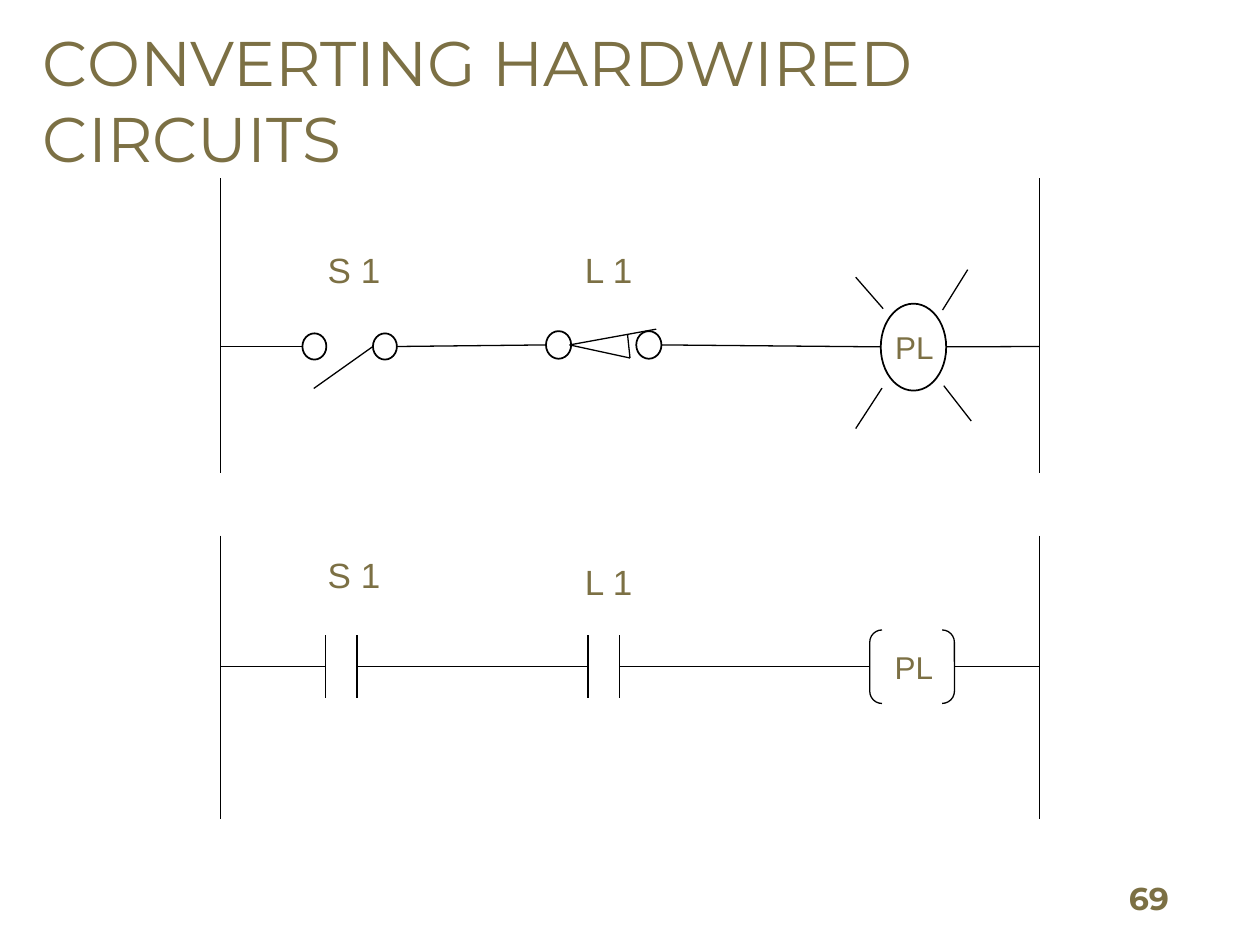
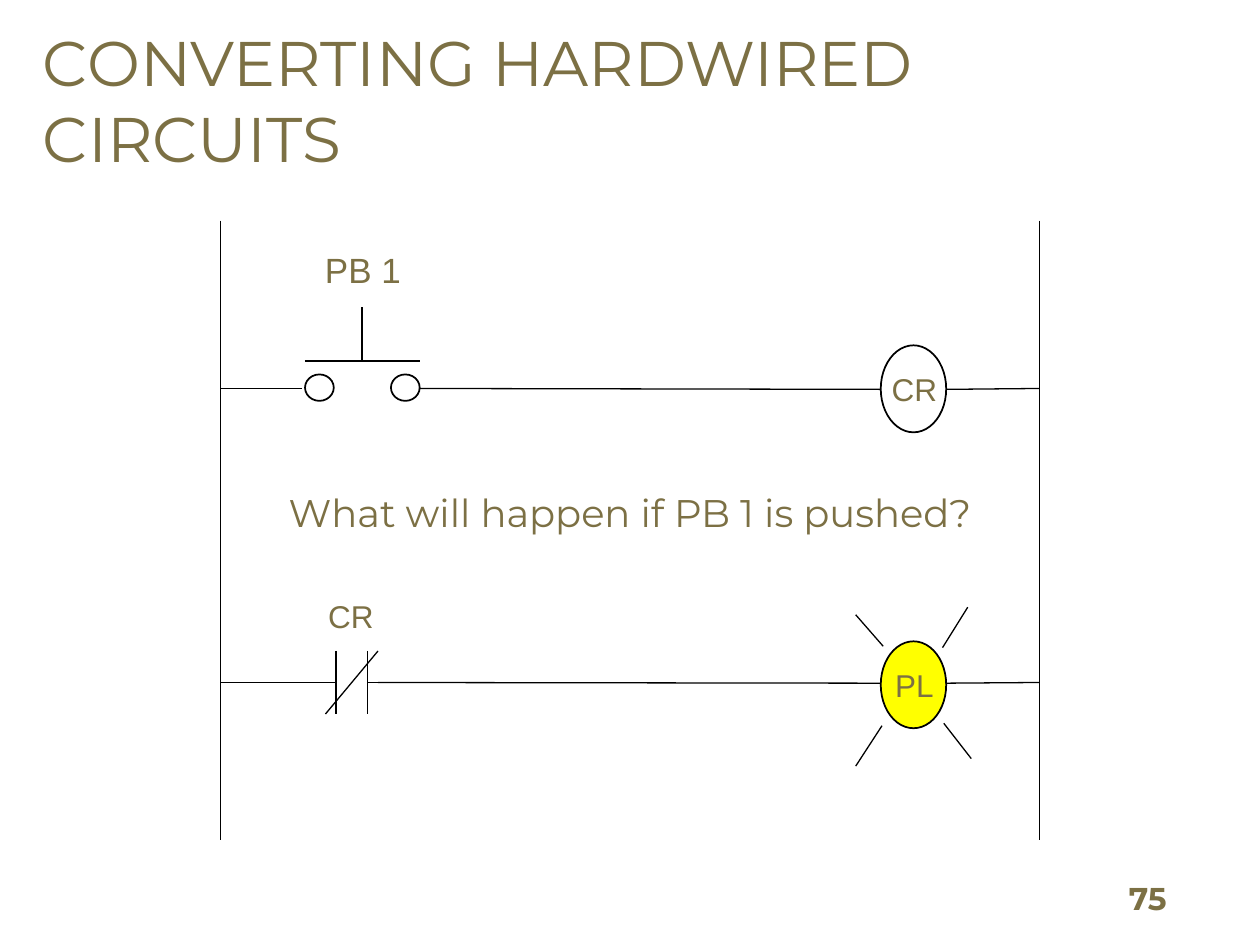
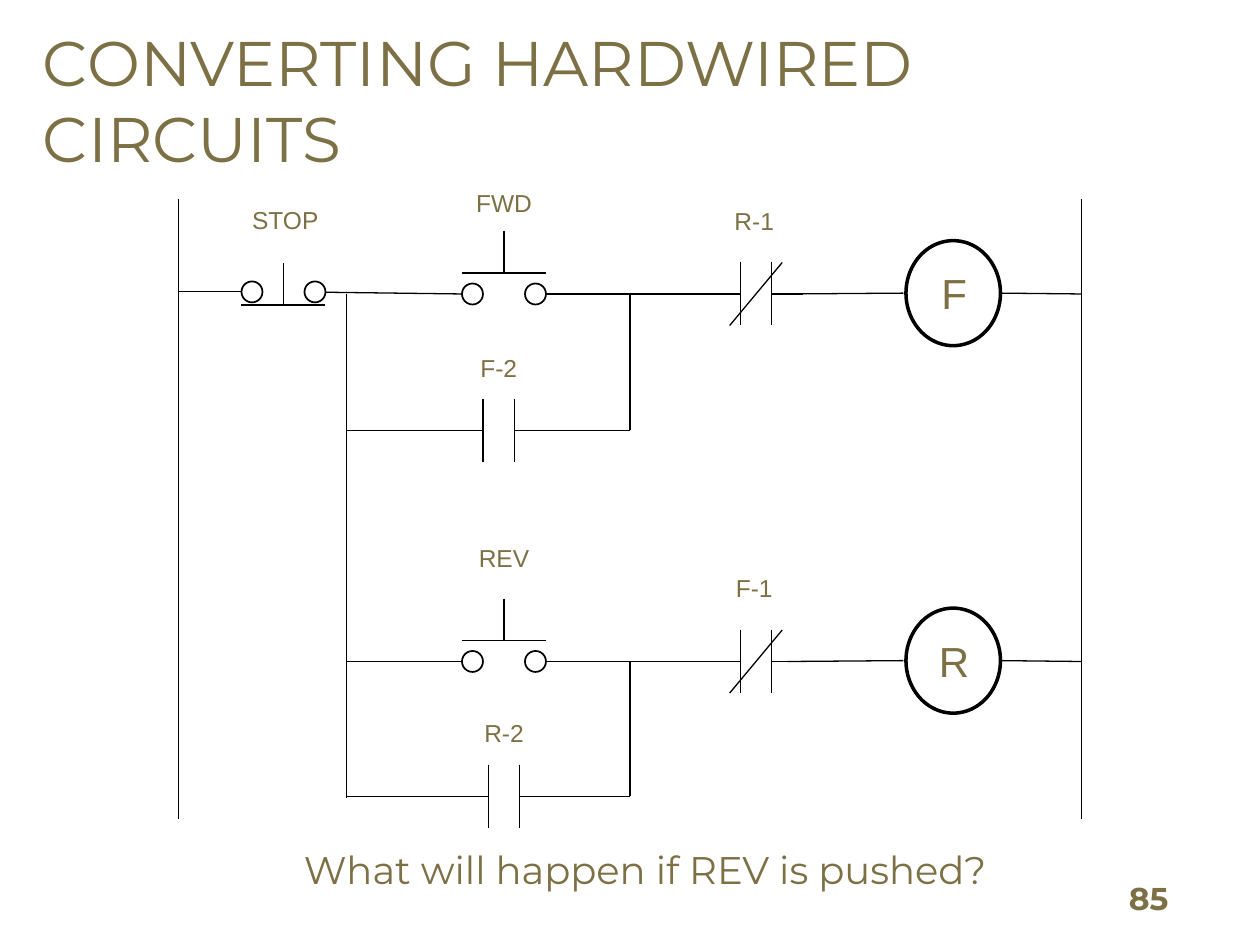
from lxml import etree
from pptx import Presentation
from pptx.dml.color import RGBColor
from pptx.enum import shapes, text
from pptx.oxml import ns
from pptx.util import Pt

GOLD, BLACK, YELLOW = "7C7044", "000000", "FFFF00"
HEAD_FONT, LABEL_FONT = "Montserrat", "Arial"
TITLE = "CONVERTING HARDWIRED CIRCUITS"
RAYS = [(17.3, 22, 33, 42.2), (-33, -40, -17.3, -22),
        (16.6, -21.2, 31, -44.3), (-33, 46.5, -18, 23.4)]


def rgb(value):
    """Turn a hex string into a colour."""
    return RGBColor.from_string(value)


def write(sh, x, y, w, h, words, size, font=LABEL_FONT, bold=False,
          align=text.PP_ALIGN.CENTER, anchor=text.MSO_ANCHOR.TOP, inset=(7.2, 3.6)):
    """Add a wrapped text box with one run."""
    tf = sh.add_textbox(Pt(x), Pt(y), Pt(w), Pt(h)).text_frame
    tf.word_wrap = True
    tf.vertical_anchor = anchor
    tf.margin_left = tf.margin_right = Pt(inset[0])
    tf.margin_top = tf.margin_bottom = Pt(inset[1])
    p = tf.paragraphs[0]
    p.alignment = align
    r = p.add_run()
    r.text = words
    r.font.name, r.font.size, r.font.bold = font, Pt(size), bold
    r.font.color.rgb = rgb(GOLD)


def label(sh, cx, cy, words, size, w=72):
    """Write a label centred on a point."""
    h = size * 1.2 + 7.2
    write(sh, cx - w / 2, cy - h / 2, w, h, words, size)


def line(sh, x1, y1, x2, y2, weight=0.75):
    """Draw a straight line without a shadow."""
    c = sh.add_connector(shapes.MSO_CONNECTOR.STRAIGHT, Pt(x1), Pt(y1), Pt(x2), Pt(y2))
    c.line.color.rgb = rgb(BLACK)
    c.line.width = Pt(weight)
    etree.SubElement(c._element.spPr, ns.qn("a:effectLst"))
    return c


def lines(sh, x, y, segments):
    """Draw several lines relative to a point."""
    for x1, y1, x2, y2 in segments:
        line(sh, x + x1, y + y1, x + x2, y + y2)


def outline(sh, kind, cx, cy, w, h, weight=1.0, fill=None):
    """Add an outlined shape centred on a point."""
    sp = sh.add_shape(kind, Pt(cx - w / 2), Pt(cy - h / 2), Pt(w), Pt(h))
    sp.shadow.inherit = False
    if fill:
        sp.fill.solid()
        sp.fill.fore_color.rgb = rgb(fill)
    else:
        sp.fill.background()
    sp.line.color.rgb = rgb(BLACK)
    sp.line.width = Pt(weight)
    return sp


def terminals(sh, x, y, span, w, h):
    """Draw the two open terminals of a switch that starts at x."""
    for cx in (x + w / 2, x + span - w / 2):
        outline(sh, shapes.MSO_SHAPE.OVAL, cx, y, w, h)


def toggle(s, x, y):
    """Draw an open toggle switch."""
    sh = s.shapes.add_group_shape().shapes
    terminals(sh, x, y, 54, 13.7, 15)
    line(sh, x + 6.5, y + 24, x + 40.3, y)


def limit_switch(s, x, y):
    """Draw a limit switch held closed."""
    sh = s.shapes.add_group_shape().shapes
    terminals(sh, x, y, 66, 14.4, 15.8)
    lines(sh, x, y, [(13.5, 0, 63, -9), (13.5, 0, 48, 7.5), (48, 7.5, 46.6, -6)])


def button(s, x, y, span=48, w=12, h=12, bar=-12, stem=24, weight=1.0):
    """Draw a push button whose bar lies at an offset from the wire."""
    sh = s.shapes.add_group_shape().shapes
    terminals(sh, x, y, span, w, h)
    line(sh, x, y + bar, x + span, y + bar, weight)
    line(sh, x + span / 2, y + bar - stem, x + span / 2, y + bar, weight)


def contact(s, x, y, closed=False):
    """Draw a ladder contact with its leads."""
    sh = s.shapes.add_group_shape().shapes
    lines(sh, x, y, [(0, -18, 0, 18), (18, -18, 18, 18), (18, 0, 36, 0), (-18, 0, 0, 0)])
    if closed:
        line(sh, x - 6, y + 18, x + 24, y - 18)


def coil(s, cx, cy, words, w=37.4, h=49.7, size=18, weight=1.0, fill=None, lit=False):
    """Draw a round coil or lamp with its name."""
    sh = s.shapes.add_group_shape().shapes
    outline(sh, shapes.MSO_SHAPE.OVAL, cx, cy, w, h, weight, fill)
    if lit:
        lines(sh, cx, cy, RAYS)
    label(sh, cx + 0.5, cy, words, size, 48)


def bracket_coil(s, cx, cy, words):
    """Draw a ladder output coil with joined leads."""
    sh = s.shapes.add_group_shape().shapes
    sp = outline(sh, shapes.MSO_SHAPE.DOUBLE_BRACKET, cx, cy, 48.4, 42, 0.75)
    line(sh, cx - 40, cy, cx - 24.2, cy).end_connect(sp, 1)
    line(sh, cx + 24.2, cy, cx + 40, cy).begin_connect(sp, 3)
    label(sh, cx + 1, cy, words, 18, 48)


def rails(s, x, y, w, h):
    """Draw the two supply rails of a circuit."""
    lines(s.shapes, x, y, [(0, 0, 0, h), (w, 0, w, h)])


def new_slide(prs, number):
    """Add a slide with the shared title and page number."""
    s = prs.slides.add_slide(prs.slide_layouts[6])
    write(s.shapes, 638.6, 504.7, 76.3, 22.3, str(number), 18, HEAD_FONT, True,
          text.PP_ALIGN.LEFT, text.MSO_ANCHOR.BOTTOM, (6.5, 2.9))
    write(s.shapes, 18, 10.8, 662.4, 92.9, TITLE, 36, HEAD_FONT,
          align=text.PP_ALIGN.LEFT, inset=(6.5, 2.9))
    return s


def hardwired(s, x, y, w, h):
    """Draw the lamp circuit with its two switches."""
    wire = y + 96
    rails(s, x, y, w, h)
    toggle(s, x + 46.8, wire)
    limit_switch(s, x + 186, wire - 0.9)
    coil(s, x + 396, wire + 0.4, "PL", lit=True)
    lines(s.shapes, x, wire, [(0, 0, 46.8, 0), (100.8, 0, 186, -0.9),
                              (252, -0.9, 377.3, 0.2), (414.7, 0.2, w, 0)])
    for dx, words in ((76.3, "S 1"), (221.8, "L 1")):
        label(s.shapes, x + dx, y + 52, words, 20)


def ladder(s, x, y, w, h):
    """Draw the ladder rung for the lamp circuit."""
    wire = y + 75
    rails(s, x, y, w, h)
    for dx in (60, 210):
        contact(s, x + dx, wire)
    bracket_coil(s, x + 395.2, wire, "PL")
    lines(s.shapes, x, wire, [(0, 0, 48, 0), (90, 0, 198, 0),
                              (246, 0, 360, 0), (432, 0, w, 0)])
    label(s.shapes, x + 76.3, y + 22.3, "S 1", 20)
    label(s.shapes, x + 221.8, y + 26.6, "L 1", 20)


def relay(s, x, y, w, h):
    """Draw a push button relay that switches a lamp."""
    top, low = y + 96, y + 264
    rails(s, x, y, w, h)
    button(s, x + 48.3, top - 0.5, 65.5, 16.4, 15.1, -15, 31)
    coil(s, x + 396, top + 0.2, "CR")
    contact(s, x + 66, low, True)
    coil(s, x + 396, low + 1.3, "PL", fill=YELLOW, lit=True)
    lines(s.shapes, x, top, [(0, 0, 46.8, 0), (114, 0, 377.3, 0.5), (414.7, 0.5, w, 0)])
    lines(s.shapes, x, low, [(0, 0, 60, 0), (90, 0, 377.3, 0.4), (414.7, 0.4, w, 0)])
    label(s.shapes, x + 81.4, y + 28, "PB 1", 20)
    label(s.shapes, x + 74.5, y + 226, "CR", 18, 48)
    write(s.shapes, x + 18, y + 149.8, 432, 60.5,
          "What will happen if PB 1 is pushed?", 22, HEAD_FONT)


def motor_branch(s, x, wire, w, start, start_dy, hold, hold_x, hold_dy, stop, coil_name):
    """Draw a start button, its holding contact, an interlock and a coil."""
    hold_y = wire + hold_dy
    button(s, x + 162, wire)
    contact(s, x + hold_x, hold_y)
    contact(s, x + 321, wire, True)
    coil(s, x + 442.7, wire - 0.5, coil_name, 54, 60, 24, 2)
    lines(s.shapes, x, wire, [(210, 0, 312, 0), (348, 0, 414.2, -0.5),
                              (469.7, -0.5, w, 0), (258, 0, 258, hold_dy)])
    lines(s.shapes, x, hold_y, [(96, 0, hold_x - 15, 0), (hold_x + 30, 0, 258, 0)])
    for dx, cy, words in ((186, wire + start_dy, start),
                          (hold_x + 9, hold_y - 36, hold),
                          (329, wire - 42, stop)):
        label(s.shapes, x + dx, cy, words, 14, 54)


def reversing(s, x, y, w, h):
    """Draw the forward and reverse motor control."""
    top, low = y + 54, y + 264
    rails(s, x, y, w, h)
    button(s, x + 36, top - 1.2, bar=7.5, weight=0.75)
    label(s.shapes, x + 61, y + 11.6, "STOP", 14, 54)
    motor_branch(s, x, top, w, "FWD", -52.4, "F-2", 174, 78, "R-1", "F")
    motor_branch(s, x, low, w, "REV", -59.4, "R-2", 177, 77, "F-1", "R")
    lines(s.shapes, x, top, [(0, -1.5, 36, -1.5), (84, -1, 162, 0),
                             (96, 0, 96, 288), (96, 210, 162, 210)])
    write(s.shapes, x + 40.6, y + 366.2, 452, 33.8,
          "What will happen if REV is pushed?", 22, HEAD_FONT)


def main():
    """Build the three slides and save them."""
    prs = Presentation()
    prs.slide_width, prs.slide_height = Pt(720), Pt(540)
    s = new_slide(prs, 69)
    hardwired(s, 126, 102, 468, 168)
    ladder(s, 126, 306, 468, 162)
    relay(new_slide(prs, 75), 126, 126, 468, 354)
    reversing(new_slide(prs, 85), 102, 114, 516, 354)
    prs.save("out.pptx")


if __name__ == "__main__":
    main()
